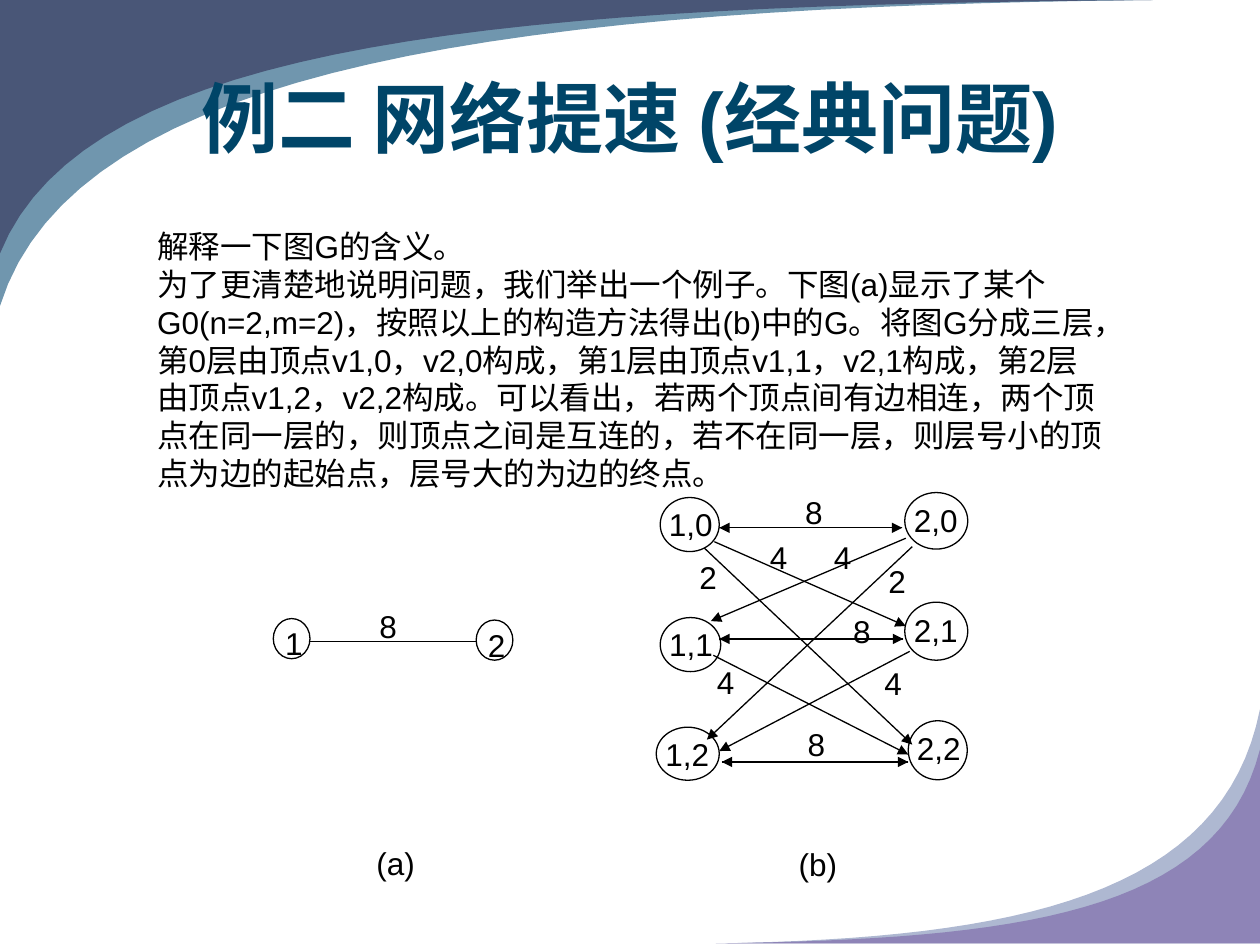
from lxml.etree import SubElement
from pptx import Presentation
from pptx.dml.color import RGBColor
from pptx.enum.shapes import MSO_CONNECTOR, MSO_SHAPE
from pptx.enum.text import MSO_ANCHOR, PP_ALIGN
from pptx.oxml.ns import qn
from pptx.util import Cm, Pt

COLORS = {
    "steel": "7096AE", "navy": "495677", "mist": "AEB8D1", "violet": "8E84B7",
    "title": "004568", "ink": "000000", "paper": "FFFFFF",
}
TOP_LEFT, TOP_END = (0, 0), (23.32, 0)
BOTTOM_RIGHT, BOTTOM_END = (25.4, 19.02), (14.43, 19.02)
SWOOSHES = [
    ("steel", TOP_LEFT, [(0, 6.17), (1.52, 1.27), (10.54, 0.13), TOP_END]),
    ("navy", TOP_LEFT, [(0, 5.11), (1.75, 0.76), (10.39, 0.1), TOP_END]),
    ("mist", BOTTOM_RIGHT, [(25.4, 14.3), (24.66, 18.06), (20.52, 18.92), BOTTOM_END]),
    ("violet", BOTTOM_RIGHT, [(25.4, 15.11), (24.56, 18.45), (20.47, 18.93), BOTTOM_END]),
]
TITLE = "例二 网络提速 (经典问题)"
EXPLANATION = [
    "解释一下图G的含义。",
    "为了更清楚地说明问题，我们举出一个例子。下图(a)显示了某个G0(n=2,m=2)，"
    "按照以上的构造方法得出(b)中的G。将图G分成三层，第0层由顶点v1,0，v2,0构成，"
    "第1层由顶点v1,1，v2,1构成，第2层由顶点v1,2，v2,2构成。可以看出，"
    "若两个顶点间有边相连，两个顶点在同一层的，则顶点之间是互连的，若不在同一层，"
    "则层号小的顶点为边的起始点，层号大的为边的终点。",
]
LABELS = [
    ("8", 17.2, 12.34, 0.89), ("(a)", 7.59, 17.02, 1.45), ("8", 7.65, 12.24, 1.19),
    ("8", 16.23, 9.93, 1.14), ("4", 15.52, 10.85, 0.84), ("4", 16.81, 10.85, 0.84),
    ("2", 14.1, 11.25, 0.89), ("2", 17.91, 11.33, 1.19), ("4", 14.45, 13.36, 1.04),
    ("4", 17.83, 13.39, 1.35), ("8", 16.28, 14.61, 1.35), ("(b)", 16.1, 17.04, 1.45),
]
SIMPLE_NODES = [("1", 5.51, 12.47, 0.74, 0.81), ("2", 9.6, 12.5, 0.74, 0.81)]
LAYERED_NODES = [
    ("1,0", 13.31, 10.03, 1.19, 1.09), ("1,2", 13.23, 14.66, 1.27, 1.07),
    ("2,2", 18.31, 14.53, 1.19, 1.19), ("2,1", 18.24, 12.14, 1.27, 1.17),
    ("1,1", 13.31, 12.45, 1.22, 1.09), ("2,0", 18.24, 9.93, 1.27, 1.14),
]
MUTUAL_EDGES = [(14.5, 18.19, 10.64), (14.5, 18.21, 12.88), (14.55, 18.31, 15.36)]
DIRECTED_EDGES = [
    (14.4, 10.92, 18.26, 12.62), (14.2, 11.05, 18.39, 15.01),
    (14.38, 13.21, 18.31, 15.21), (18.34, 13.13, 14.5, 15.14),
    (18.26, 10.85, 14.33, 12.52), (18.39, 11.02, 14.25, 14.91),
]


def color(name):
    return RGBColor.from_string(COLORS[name])


def curve_point(controls, t):
    weights = ((1 - t) ** 3, 3 * t * (1 - t) ** 2, 3 * t**2 * (1 - t), t**3)
    return tuple(
        Cm(sum(weight * point[axis] for weight, point in zip(weights, controls)))
        for axis in (0, 1)
    )


class GraphSlide:
    """Draws styled elements on the current slide."""

    font, size, line_width, curve_steps = "Arial", 18, Pt(0.75), 32

    def __init__(self, slide):
        self.slide = slide

    def set_text(self, shape, paragraphs, margins, size=size, ink="ink", bold=False,
                 align=PP_ALIGN.LEFT, anchor=MSO_ANCHOR.TOP, wrap=True):
        frame = shape.text_frame
        frame.text = "\n".join(paragraphs)
        frame.word_wrap = wrap
        frame.vertical_anchor = anchor
        frame.margin_left = frame.margin_right = Cm(margins[0])
        frame.margin_top = frame.margin_bottom = Cm(margins[1])
        for paragraph in frame.paragraphs:
            paragraph.alignment = align
            for run in paragraph.runs:
                run.font.name = self.font
                run.font.size = Pt(size)
                run.font.bold = bold
                run.font.color.rgb = color(ink)

    def swoosh(self, fill, corner, controls):
        points = [curve_point(controls, step / self.curve_steps)
                  for step in range(self.curve_steps + 1)]
        builder = self.slide.shapes.build_freeform(*points[0])
        builder.add_line_segments(points[1:] + [tuple(map(Cm, corner))], close=True)
        shape = builder.convert_to_shape()
        shape.shadow.inherit = False
        shape.fill.solid()
        shape.fill.fore_color.rgb = color(fill)
        shape.line.fill.background()

    def text(self, paragraphs, box, **style):
        shape = self.slide.shapes.add_textbox(*map(Cm, box))
        self.set_text(shape, paragraphs, (0.25, 0.13), **style)

    def outlined(self, kind, box, outline):
        shape = self.slide.shapes.add_shape(kind, *map(Cm, box))
        shape.shadow.inherit = False
        shape.fill.solid()
        shape.fill.fore_color.rgb = color("paper")
        shape.line.color.rgb = color(outline)
        shape.line.width = self.line_width
        return shape

    def label(self, text, left, top, width):
        shape = self.outlined(MSO_SHAPE.RECTANGLE, (left, top, width, 0.66), "paper")
        self.set_text(shape, [text], (0, 0))

    def node(self, text, *box, margin=0, wrap=False):
        shape = self.outlined(MSO_SHAPE.OVAL, box, "ink")
        self.set_text(shape, [text], (margin, 0), wrap=wrap)

    def edge(self, *ends, arrow=True):
        connector = self.slide.shapes.add_connector(MSO_CONNECTOR.STRAIGHT, *map(Cm, ends))
        connector.line.color.rgb = color("ink")
        connector.line.width = self.line_width
        if arrow:
            SubElement(connector.get_or_add_ln(), qn("a:tailEnd"), type="triangle")
        SubElement(connector._element.spPr, qn("a:effectLst"))


def main():
    presentation = Presentation()
    presentation.slide_width, presentation.slide_height = Cm(25.4), Cm(19.05)
    graph = GraphSlide(presentation.slides.add_slide(presentation.slide_layouts[6]))

    for swoosh in SWOOSHES:
        graph.swoosh(*swoosh)
    graph.text([TITLE], (1.27, 0.76, 22.86, 3.18), size=44, ink="title", bold=True,
               align=PP_ALIGN.CENTER, anchor=MSO_ANCHOR.MIDDLE)
    graph.text(EXPLANATION, (2.92, 4.45, 19.58, 5.59))

    for label in LABELS:
        graph.label(*label)
    for node in SIMPLE_NODES:
        graph.node(*node, margin=0.13, wrap=True)
    for node in LAYERED_NODES:
        graph.node(*node)

    graph.edge(6.22, 12.93, 9.6, 12.93, arrow=False)
    for left, right, height in MUTUAL_EDGES:
        graph.edge(left, height, right, height)
        graph.edge(right, height, left, height)
    for edge in DIRECTED_EDGES:
        graph.edge(*edge)

    presentation.save("out.pptx")


if __name__ == "__main__":
    main()
